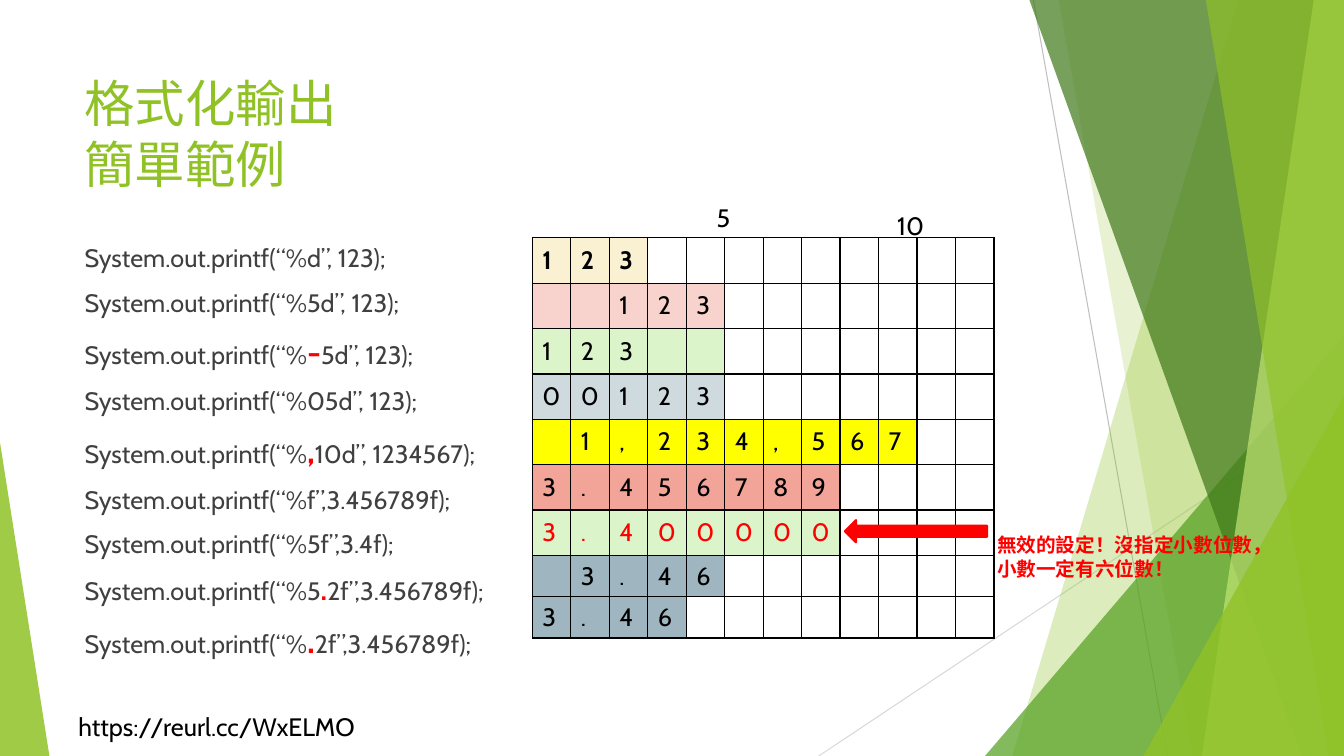
from lxml.etree import SubElement as Sub
from pptx import Presentation
from pptx.dml.color import RGBColor as Rgb
from pptx.enum.shapes import MSO_CONNECTOR as Link, MSO_SHAPE as Kind
from pptx.enum.text import MSO_ANCHOR as Anchor, MSO_AUTO_SIZE as Auto
from pptx.oxml.ns import qn
from pptx.util import Inches, Pt


class Theme:
    font = "Cabin"
    lime, leaf, pine, pale = "90C226", "54A021", "3F7819", "C0E474"
    ink, text, red, white = "000000", "404040", "FF0000", "FFFFFF"
    cream, pink, mint, mist = "FAF1D2", "F8D2CC", "DBF4CA", "CFDADF"
    sun, coral, slate = "FFFF00", "F2A499", "9FB6C0"
    gray, light = "BFBFBF", "D9D9D9"
    head, body, note, mark, dot = 36, 18, 14, 24, 20


WIDE, HIGH = 13.33, 7.5
LINES = [
    (10.25, 0, 11.58, HIGH, Theme.gray),
    (WIDE, 4.03, 8.12, HIGH, Theme.light),
]
BAND, PEAK = "band", "peak"
SHARDS = [
    (BAND, (12.28, 10.04), Theme.lime, 30),
    (BAND, (10.5, 11.83), Theme.lime, 20),
    (PEAK, (9.77, 3.33, 3.56, 1), Theme.leaf, 72),
    (BAND, (10.21, 12.91), Theme.pine, 70),
    (BAND, (13.03, 11.92), Theme.pale, 70),
    (BAND, (11.96, 13.18), Theme.lime, 65),
    (PEAK, (11.34, 3.93, 1.99, 1), Theme.lime, 80),
    (PEAK, (0, 4.39, 0.49, 0), Theme.lime, 85),
]
TITLE = ["格式化輸出", "簡單範例"]
CODE = [
    ("System.out.printf(“%d”, 123);",),
    ("System.out.printf(“%5d”, 123);",),
    ("System.out.printf(“%", "-", "5d”, 123);", Theme.mark),
    ("System.out.printf(“%05d”, 123);",),
    ("System.out.printf(“%", ",", "10d”, 1234567);", Theme.mark),
    ("System.out.printf(“%f”,3.456789f);",),
    ("System.out.printf(“%5f”,3.4f);",),
    ("System.out.printf(“%5", ".", "2f”,3.456789f);", Theme.dot),
    ("System.out.printf(“%", ".", "2f”,3.456789f);", Theme.mark),
]
GRID = [
    ("123", Theme.cream, Theme.ink, True, 0.45),
    ("  123", Theme.pink, Theme.ink, False, 0.45),
    ("123  ", Theme.mint, Theme.ink, False, 0.45),
    ("00123", Theme.mist, Theme.ink, False, 0.45),
    (" 1,234,567", Theme.sun, Theme.ink, False, 0.45),
    ("3.456789", Theme.coral, Theme.ink, False, 0.45),
    ("3.400000", Theme.mint, Theme.red, False, 0.45),
    (" 3.46", Theme.slate, Theme.ink, False, 0.41),
    ("3.46", Theme.slate, Theme.ink, False, 0.41),
]
COLS = 12
LABELS = [
    ((0.68, 7.01, 3.12, 0.4), ["https://reurl.cc/WxELMO"], Theme.body, Theme.ink, False),
    ((7.01, 1.96, 0.34, 0.4), ["5"], Theme.body, Theme.ink, False),
    ((8.8, 2.04, 0.47, 0.4), ["10"], Theme.body, Theme.ink, False),
    ((9.79, 5.24, 2.95, 0.57), ["無效的設定！沒指定小數位數，", "小數一定有六位數！"],
     Theme.note, Theme.red, True),
]


def color(hue):
    return Rgb.from_string(hue)


def box(*at):
    return [Inches(n) for n in at]


def add_run(para, words, size, hue, bold=False):
    run = para.add_run()
    run.text = words
    run.font.name, run.font.size, run.font.bold = Theme.font, Pt(size), bold
    run.font.color.rgb = color(hue)


def add_text(at, wrap):
    frame = shapes.add_textbox(*box(*at)).text_frame
    frame.word_wrap = wrap
    frame.auto_size = Auto.NONE if wrap else Auto.SHAPE_TO_FIT_TEXT
    return frame


def next_para(frame, index):
    return frame.add_paragraph() if index else frame.paragraphs[0]


def paint(shape, hue, alpha=100):
    shape.shadow.inherit = False
    shape.fill.solid()
    shape.fill.fore_color.rgb = color(hue)
    shape.line.fill.background()
    if alpha < 100:
        tint = shape._element.xpath("./p:spPr/a:solidFill/a:srgbClr")[0]
        Sub(tint, qn("a:alpha"), val=str(alpha * 1000))


def add_shard(kind, form, hue, alpha):
    if kind == BAND:
        top, foot = form
        path = shapes.build_freeform(Inches(top), 0)
        path.add_line_segments([box(WIDE, 0), box(WIDE, HIGH), box(foot, HIGH)])
        shape = path.convert_to_shape()
    else:
        left, top, wide, lean = form
        shape = shapes.add_shape(Kind.ISOSCELES_TRIANGLE, *box(left, top, wide, HIGH - top))
        shape.adjustments[0] = lean
    paint(shape, hue, alpha)


def frame_cell(cell):
    props = cell._tc.get_or_add_tcPr()
    for side in ("lnL", "lnR", "lnT", "lnB"):
        edge = Sub(props, qn("a:" + side), w=str(Pt(1)))
        Sub(Sub(edge, qn("a:solidFill")), qn("a:srgbClr"), val=Theme.ink)


deck = Presentation()
deck.slide_width, deck.slide_height = box(WIDE, HIGH)
shapes = deck.slides.add_slide(deck.slide_layouts[6]).shapes

for *ends, hue in LINES:
    line = shapes.add_connector(Link.STRAIGHT, *box(*ends))
    line.line.color.rgb, line.line.width = color(hue), Pt(0.75)
    Sub(line._element.spPr, qn("a:effectLst"))
for shard in SHARDS:
    add_shard(*shard)

title = add_text((0.74, 0.67, 9.4, 1.44), True).paragraphs[0]
for i, words in enumerate(TITLE):
    if i:
        title.add_line_break()
    add_run(title, words, Theme.head, Theme.lime)

code = add_text((0.74, 2.36, 4.83, 4.24), True)
for i, (start, *rest) in enumerate(CODE):
    para = next_para(code, i)
    para.space_before = Pt(10 if i else 0)
    add_run(para, start, Theme.body, Theme.text)
    if rest:
        flag, tail, size = rest
        add_run(para, flag, size, Theme.red, True)
        add_run(para, tail, Theme.body, Theme.text)

table = shapes.add_table(len(GRID), COLS, *box(5.28, 2.36, 4.58, 3.96)).table
for col in table.columns:
    col.width = Inches(4.58 / COLS)
for row, (marks, fill, hue, bold, high) in enumerate(GRID):
    table.rows[row].height = Inches(high)
    for col in range(COLS):
        cell = table.cell(row, col)
        frame_cell(cell)
        cell.vertical_anchor = Anchor.MIDDLE
        cell.fill.solid()
        cell.fill.fore_color.rgb = color(fill if col < len(marks) else Theme.white)
        mark = marks[col:col + 1].strip()
        if mark:
            add_run(cell.text_frame.paragraphs[0], mark, Theme.body, hue, bold)

arrow = shapes.add_shape(Kind.LEFT_ARROW, *box(8.38, 5.16, 1.41, 0.22))
paint(arrow, Theme.red)
arrow.line.color.rgb, arrow.line.width = color(Theme.red), Pt(1.5)

for at, rows, size, hue, bold in LABELS:
    label = add_text(at, False)
    for i, words in enumerate(rows):
        add_run(next_para(label, i), words, size, hue, bold)

deck.save("out.pptx")
